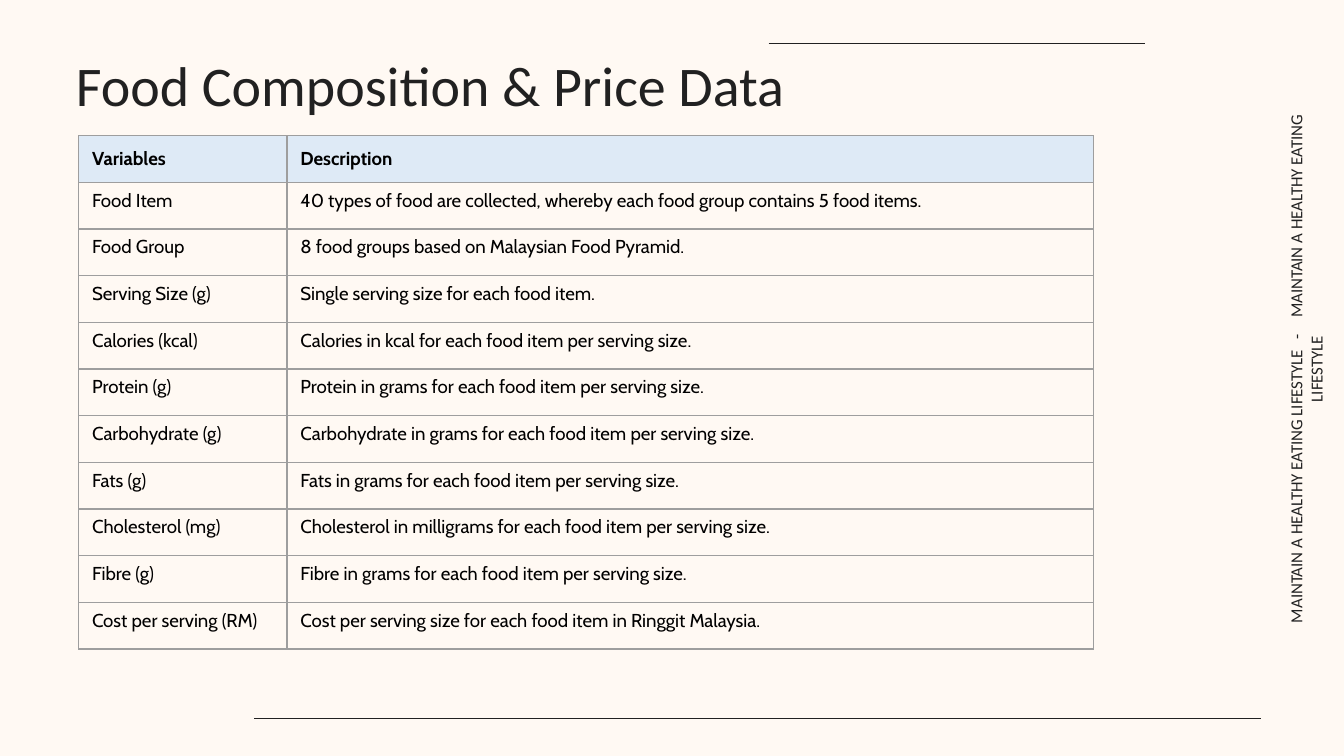
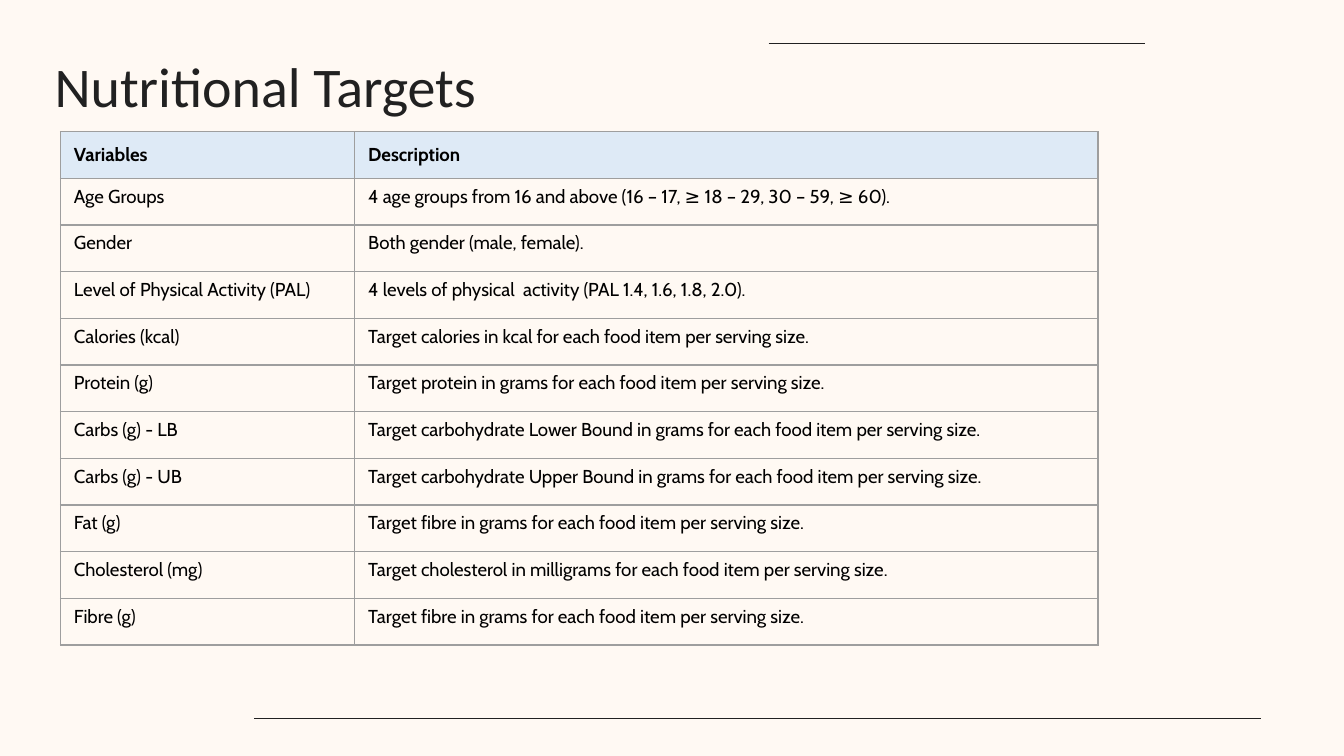
from dataclasses import dataclass

from lxml import etree
from pptx import Presentation
from pptx.dml.color import RGBColor
from pptx.enum.shapes import MSO_CONNECTOR as Connector
from pptx.enum.text import MSO_ANCHOR as Anchor, MSO_AUTO_SIZE as AutoSize, PP_ALIGN as Align
from pptx.oxml.ns import qn
from pptx.util import Inches, Pt

COLUMNS, ROWS = 100, 56.25
CELL = Inches(0.1)
TITLE_ONLY = 5


@dataclass(frozen=True)
class Theme:
    background: str = "FFF9F3"
    ink: str = "212121"
    table_ink: str = "000000"
    header_fill: str = "DEEAF6"
    border: str = "9E9E9E"
    main_font: str = "Calibri"
    table_font: str = "Cabin"
    title_size: float = 30
    motto_size: float = 9
    table_size: float = 10
    line_width: float = 0.75


@dataclass(frozen=True)
class Box:
    """A rectangle in grid columns and rows."""
    left: float
    top: float
    width: float
    height: float

    def place(self, shape):
        shape.left, shape.top, shape.width, shape.height = self.lengths()

    def lengths(self):
        return [grid(n) for n in (self.left, self.top, self.width, self.height)]


THEME = Theme()
EACH = "for each food item per serving size."
MOTTO = "MAINTAIN A HEALTHY EATING LIFESTYLE"

FOOD_ROWS = [
    ("Variables", "Description"),
    ("Food Item", "40 types of food are collected, whereby each food group contains 5 food items."),
    ("Food Group", "8 food groups based on Malaysian Food Pyramid."),
    ("Serving Size (g)", "Single serving size for each food item."),
    ("Calories (kcal)", f"Calories in kcal {EACH}"),
    ("Protein (g)", f"Protein in grams {EACH}"),
    ("Carbohydrate (g)", f"Carbohydrate in grams {EACH}"),
    ("Fats (g)", f"Fats in grams {EACH}"),
    ("Cholesterol (mg)", f"Cholesterol in milligrams {EACH}"),
    ("Fibre (g)", f"Fibre in grams {EACH}"),
    ("Cost per serving (RM)", "Cost per serving size for each food item in Ringgit Malaysia."),
]

TARGET_ROWS = [
    ("Variables", "Description"),
    ("Age Groups", "4 age groups from 16 and above (16 – 17, ≥ 18 – 29, 30 – 59, ≥ 60)."),
    ("Gender", "Both gender (male, female)."),
    ("Level of Physical Activity (PAL)", "4 levels of physical  activity (PAL 1.4, 1.6, 1.8, 2.0)."),
    ("Calories (kcal)", f"Target calories in kcal {EACH}"),
    ("Protein (g)", f"Target protein in grams {EACH}"),
    ("Carbs (g) - LB", f"Target carbohydrate Lower Bound in grams {EACH}"),
    ("Carbs (g) - UB", f"Target carbohydrate Upper Bound in grams {EACH}"),
    ("Fat (g)", f"Target fibre in grams {EACH}"),
    ("Cholesterol (mg)", f"Target cholesterol in milligrams {EACH}"),
    ("Fibre (g)", f"Target fibre in grams {EACH}"),
]


def grid(count):
    return round(count * CELL)


def colour(name):
    return RGBColor.from_string(name)


def write(frame, text, *, size, font=THEME.main_font, ink=THEME.ink,
          bold=False, align=Align.LEFT, spacing=0):
    """Add a run to the frame's first paragraph; spacing is in points."""
    paragraph = frame.paragraphs[0]
    paragraph.alignment = align
    run = paragraph.add_run()
    run.text = text
    run.font.name, run.font.size, run.font.bold = font, Pt(size), bold
    run.font.color.rgb = colour(ink)
    if spacing:
        run._r.get_or_add_rPr().set("spc", str(round(spacing * 100)))


def set_frame(frame, anchor, inset_x, inset_y):
    frame.word_wrap = True
    frame.auto_size = AutoSize.NONE
    frame.vertical_anchor = anchor
    frame.margin_left = frame.margin_right = grid(inset_x)
    frame.margin_top = frame.margin_bottom = grid(inset_y)


def add_rule(slide, start, end, row):
    line = slide.shapes.add_connector(
        Connector.STRAIGHT, grid(start), grid(row), grid(end), grid(row))
    line.line.color.rgb = colour(THEME.ink)
    line.line.width = Pt(THEME.line_width)
    etree.SubElement(line._element.spPr, qn("a:effectLst"))


def add_title(slide, text, box, anchor=Anchor.TOP, align=Align.LEFT, insets=(0.7, 0.4)):
    title = slide.shapes.title
    box.place(title)
    set_frame(title.text_frame, anchor, *insets)
    write(title.text_frame, text, size=THEME.title_size, align=align)


def set_borders(cell):
    properties = cell._tc.get_or_add_tcPr()
    for index, side in enumerate(("lnL", "lnR", "lnT", "lnB")):
        line = etree.Element(qn(f"a:{side}"), w=str(Pt(THEME.line_width)))
        fill = etree.SubElement(line, qn("a:solidFill"))
        etree.SubElement(fill, qn("a:srgbClr"), val=THEME.border)
        properties.insert(index, line)


def add_variable_table(slide, rows, box, first_column):
    """Fill the box with a two-column table; first_column is a grid width."""
    table = slide.shapes.add_table(len(rows), 2, *box.lengths()).table
    table.horz_banding = False
    table.columns[0].width = grid(first_column)
    table.columns[1].width = grid(box.width - first_column)
    for row_index, values in enumerate(rows):
        header = row_index == 0
        for column_index, text in enumerate(values):
            cell = table.cell(row_index, column_index)
            cell.vertical_anchor = Anchor.MIDDLE if header else Anchor.TOP
            if header:
                cell.fill.solid()
                cell.fill.fore_color.rgb = colour(THEME.header_fill)
            else:
                cell.fill.background()
            set_borders(cell)
            write(cell.text_frame, text, size=THEME.table_size, font=THEME.table_font,
                  ink=THEME.table_ink, bold=header)


def add_side_motto(slide, box):
    shape = slide.shapes.add_textbox(*box.lengths())
    shape.rotation = 270
    set_frame(shape.text_frame, Anchor.TOP, 1, 1)
    for text, spacing in ((MOTTO, 0), (" - ", 3.4), (MOTTO, 0)):
        write(shape.text_frame, text, size=THEME.motto_size, align=Align.CENTER, spacing=spacing)


def add_framed_slide(presentation):
    slide = presentation.slides.add_slide(presentation.slide_layouts[TITLE_ONLY])
    add_rule(slide, 93.8, 18.9, 53.45)
    add_rule(slide, 57.2, 85.2, 3.25)
    return slide


def build_food_slide(presentation):
    slide = add_framed_slide(presentation)
    add_title(slide, "Food Composition & Price Data", Box(4.95, 3.36, 58.2, 6.7))
    add_variable_table(slide, FOOD_ROWS, Box(5.85, 10.1, 75.5, 38.2), 15.5)
    add_side_motto(slide, Box(74.8, 25.7, 43.2, 3.5))


def build_target_slide(presentation):
    slide = add_framed_slide(presentation)
    add_title(slide, "Nutritional Targets", Box(3, 3.4, 33.5, 6.4),
              anchor=Anchor.BOTTOM, align=Align.CENTER, insets=(1, 1))
    add_variable_table(slide, TARGET_ROWS, Box(4.5, 9.8, 77.2, 38.2), 21.9)


def main():
    presentation = Presentation()
    presentation.slide_width, presentation.slide_height = grid(COLUMNS), grid(ROWS)
    background = presentation.slide_master.background.fill
    background.solid()
    background.fore_color.rgb = colour(THEME.background)
    build_food_slide(presentation)
    build_target_slide(presentation)
    presentation.save("out.pptx")


if __name__ == "__main__":
    main()
